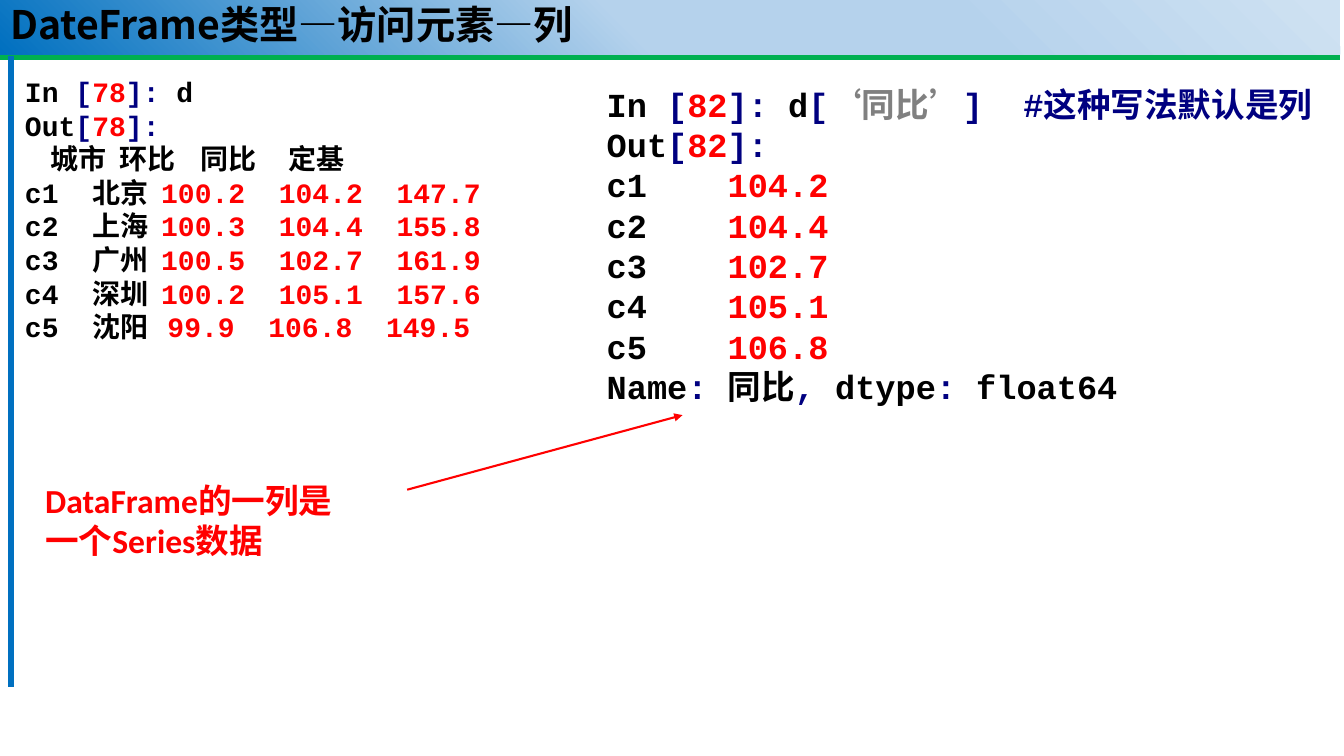
from dataclasses import dataclass

import pptx
import pptx.dml.color
import pptx.enum.shapes
import pptx.enum.text
import pptx.oxml
import pptx.oxml.ns
import pptx.util
from lxml import etree
from pptx.util import Cm

BLACK, RED, NAVY, GREY = "000000", "FF0000", "000080", "808080"
CJK_FONT = "Noto Sans CJK SC"
CODE_FONT = "Courier New"

Run = tuple[str, str]  # text, colour
Line = list[Run]


@dataclass
class TextBlock:
    left: float
    top: float
    width: float
    height: float
    font: str
    size: int
    lines: list[Line]


@dataclass
class Rule:
    start: tuple[float, float]
    end: tuple[float, float]
    color: str
    weight: float
    arrow: bool = False


def rgb(color: str) -> pptx.dml.color.RGBColor:
    return pptx.dml.color.RGBColor.from_string(color)


def add_element(parent, tag: str, **attributes: str):
    return etree.SubElement(parent, pptx.oxml.ns.qn(tag), **attributes)


def write_lines(frame, lines: list[Line], font_name: str, size: int) -> None:
    font_format = {"name": font_name, "size": pptx.util.Pt(size), "bold": True}
    for index, line in enumerate(lines):
        paragraph = frame.paragraphs[0] if index == 0 else frame.add_paragraph()
        for text, color in line:
            run = paragraph.add_run()
            run.text = text
            for attribute, value in font_format.items():
                setattr(run.font, attribute, value)
            run.font.color.rgb = rgb(color)
            add_element(run.font._element, "a:ea", typeface=CJK_FONT)


def draw_rule(slide, rule: Rule):
    connector = slide.shapes.add_connector(
        pptx.enum.shapes.MSO_CONNECTOR.STRAIGHT,
        *(Cm(value) for value in rule.start + rule.end))
    connector.line.color.rgb = rgb(rule.color)
    connector.line.width = pptx.util.Pt(rule.weight)
    if rule.arrow:
        add_element(connector.line._get_or_add_ln(), "a:tailEnd", type="triangle")
    add_element(connector.element.spPr, "a:effectLst")
    return connector


def draw_block(slide, block: TextBlock) -> None:
    box = slide.shapes.add_textbox(
        Cm(block.left), Cm(block.top), Cm(block.width), Cm(block.height))
    box.text_frame.word_wrap = True
    write_lines(box.text_frame, block.lines, block.font, block.size)


def draw_title(slide) -> None:
    title = slide.shapes.title
    position = {"left": 0, "top": 0, "width": Cm(33.78), "height": Cm(1.37)}
    for attribute, value in position.items():
        setattr(title, attribute, value)

    title.fill.gradient()
    title.fill.gradient_angle = 225
    stops = title.element.spPr.find(".//" + pptx.oxml.ns.qn("a:gsLst"))
    for stop in list(stops):
        stops.remove(stop)
    for percent, color in TITLE_GRADIENT:
        stop = add_element(stops, "a:gs", pos=str(percent * 1000))
        add_element(stop, "a:srgbClr", val=color)

    frame_format = {
        "word_wrap": True,
        "auto_size": pptx.enum.text.MSO_AUTO_SIZE.NONE,
        "vertical_anchor": pptx.enum.text.MSO_ANCHOR.MIDDLE,
    }
    for attribute, value in frame_format.items():
        setattr(title.text_frame, attribute, value)
    write_lines(title.text_frame, [[("DateFrame类型—访问元素—列", BLACK)]], CJK_FONT, 28)
    heading = title.text_frame.paragraphs[0]
    heading.alignment = pptx.enum.text.PP_ALIGN.LEFT
    heading.line_spacing = 0.9


def prompt(label: str, number: int) -> Line:
    return [(label, BLACK), ("[", NAVY), (str(number), RED), ("]:", NAVY)]


# Content
TITLE_GRADIENT = [(1, "CEE1F2"), (29, "B5D2EC"), (53, "B5D2EC"), (100, "0070C0")]
CITY_ROWS = [
    ("c1  北京  ", "100.2  104.2  147.7"),
    ("c2  上海  ", "100.3  104.4  155.8"),
    ("c3  广州  ", "100.5  102.7  161.9"),
    ("c4  深圳  ", "100.2  105.1  157.6"),
    ("c5  沈阳   ", "99.9  106.8  149.5"),
]
YEAR_ON_YEAR = ["104.2", "104.4", "102.7", "105.1", "106.8"]

FRAME_RULES = [
    Rule((0, 1.42), (33.78, 1.42), "00B050", 5.25),
    Rule((0.28, 1.42), (0.28, 17.3), "0070C0", 3.75),
]
SERIES_ARROW = Rule((10.26, 12.34), (17.2, 10.46), RED, 1.5, arrow=True)

WHOLE_FRAME = TextBlock(0.38, 1.75, 13.56, 7.09, CODE_FONT, 20, [
    prompt("In ", 78) + [(" d", BLACK)],
    prompt("Out", 78),
    [("    城市  环比    同比     定基", BLACK)],
    *([(city, BLACK), (values, RED)] for city, values in CITY_ROWS),
])
ONE_COLUMN = TextBlock(15.04, 1.98, 18.75, 9.32, CODE_FONT, 24, [
    prompt("In ", 82) + [(" d", BLACK), ("[", NAVY), ("‘同比’", GREY),
                         ("]  #这种写法默认是列", NAVY)],
    prompt("Out", 82),
    *([(f"c{number}    ", BLACK), (value, RED)]
      for number, value in enumerate(YEAR_ON_YEAR, 1)),
    [("Name", BLACK), (": ", NAVY), ("同比", BLACK), (",", NAVY),
     (" dtype", BLACK), (":", NAVY), (" float64", BLACK)],
])
SERIES_NOTE = TextBlock(0.89, 11.96, 8.38, 2.31, "Calibri", 24,
                        [[("DataFrame的一列是一个Series数据", RED)]])


def main() -> None:
    deck = pptx.Presentation()
    deck.slide_width, deck.slide_height = Cm(33.87), Cm(19.05)
    slide = deck.slides.add_slide(deck.slide_layouts[5])

    # Title bar, with the frame rules behind it
    draw_title(slide)
    for rule in FRAME_RULES:
        slide.shapes.title.element.addprevious(draw_rule(slide, rule).element)

    # Code and its results
    for block in (WHOLE_FRAME, ONE_COLUMN):
        draw_block(slide, block)

    # Note on the column
    draw_rule(slide, SERIES_ARROW)
    draw_block(slide, SERIES_NOTE)

    deck.save("out.pptx")


if __name__ == "__main__":
    main()
